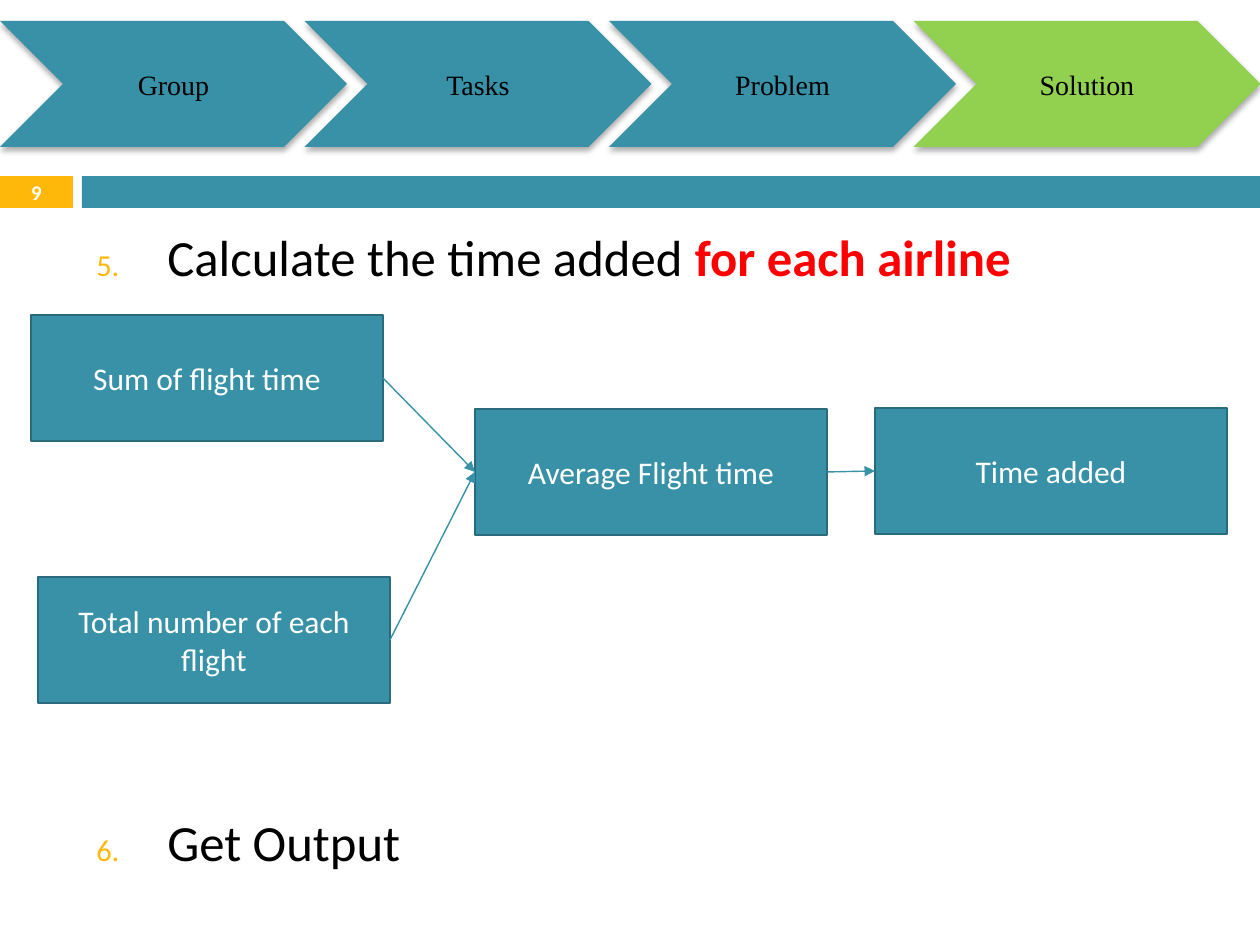
from dataclasses import dataclass

from lxml.etree import SubElement
from pptx import Presentation
from pptx.dml.color import RGBColor
from pptx.enum.shapes import MSO_CONNECTOR as Connector, MSO_SHAPE as Shape
from pptx.enum.text import MSO_ANCHOR as Anchor, PP_ALIGN as Align
from pptx.oxml.ns import qn
from pptx.util import Emu, Pt

COLORS = {
    "teal": "3891A7",
    "dark_teal": "296B7C",
    "green": "92D050",
    "gold": "FEB80A",
    "red": "FF0000",
    "black": "000000",
    "white": "FFFFFF",
}
BODY_FONT = "Calibri"
TAB_FONT = "Times New Roman"
PX_PER_INCH = 126
RIGHT, LEFT = 3, 1


@dataclass
class Tab:
    label: str
    fill: str = "teal"


@dataclass
class Step:
    label: str
    left: int
    top: int


@dataclass
class Span:
    text: str
    color: str = "black"
    bold: bool = False


@dataclass
class Item:
    spans: list[Span]
    space_before: int


TABS = [Tab("Group"), Tab("Tasks"), Tab("Problem"), Tab("Solution", "green")]
TAB_WIDTH, TAB_HEIGHT, TAB_TOP, TAB_PITCH = 347, 126, 21, 304.5

STEPS = {
    "sum": Step("Sum of flight time", 31, 315),
    "total": Step("Total number of each flight", 38, 577),
    "average": Step("Average Flight time", 475, 409),
    "added": Step("Time added", 875, 408),
}
STEP_WIDTH, STEP_HEIGHT = 352, 126
LINKS = [("sum", "average"), ("total", "average"), ("average", "added")]

ITEMS = [
    Item([Span("Calculate the time added "), Span("for each airline", "red", True)], 7),
    Item([Span("Get Output")], 299),
]


def px(length: float) -> Emu:
    return Emu(round(length * 914400 / PX_PER_INCH))


def rgb(name: str) -> RGBColor:
    return RGBColor.from_string(COLORS[name])


def style_run(run, size: float, color: str, font: str = BODY_FONT, bold: bool = False) -> None:
    run.font.size = Pt(size)
    run.font.name = font
    run.font.bold = bold
    run.font.color.rgb = rgb(color)


def add_block(page, kind, left, top, width, height, fill: str):
    block = page.shapes.add_shape(kind, px(left), px(top), px(width), px(height))
    block.shadow.inherit = False
    block.fill.solid()
    block.fill.fore_color.rgb = rgb(fill)
    block.line.fill.background()
    return block


def set_label(box, label: str, size: float, color: str, font: str = BODY_FONT, bold: bool = False) -> None:
    frame = box.text_frame
    frame.text = label
    frame.word_wrap = True
    frame.vertical_anchor = Anchor.MIDDLE
    para = frame.paragraphs[0]
    para.alignment = Align.CENTER
    style_run(para.runs[0], size, color, font, bold)


def add_soft_shadow(block) -> None:
    effects = block._element.spPr.find(qn("a:effectLst"))
    shadow = SubElement(effects, qn("a:outerShdw"), blurRad=str(Pt(3.5)), dist=str(Pt(2.2)),
                        dir="5400000", rotWithShape="0")
    color = SubElement(shadow, qn("a:srgbClr"), val=COLORS["black"])
    SubElement(color, qn("a:alpha"), val="32000")


def add_tab(page, index: int, tab: Tab) -> None:
    chevron = add_block(page, Shape.CHEVRON, index * TAB_PITCH, TAB_TOP, TAB_WIDTH, TAB_HEIGHT, tab.fill)
    add_soft_shadow(chevron)
    set_label(chevron, tab.label, 16, "black", TAB_FONT)


def add_step(page, step: Step):
    box = add_block(page, Shape.RECTANGLE, step.left, step.top, STEP_WIDTH, STEP_HEIGHT, "teal")
    box.line.color.rgb = rgb("dark_teal")
    box.line.width = Pt(1.5)
    set_label(box, step.label, 18, "white")
    return box


def add_arrow(page, source, target) -> None:
    arrow = page.shapes.add_connector(Connector.STRAIGHT, 0, 0, 0, 0)
    arrow.begin_connect(source, RIGHT)
    arrow.end_connect(target, LEFT)
    arrow.line.color.rgb = rgb("teal")
    arrow.line.width = Pt(0.79)
    SubElement(arrow.line._get_or_add_ln(), qn("a:tailEnd"), type="triangle")
    SubElement(arrow._element.spPr, qn("a:effectLst"))


def number_item(para, start: int) -> None:
    indent = px(71)
    properties = para._p.get_or_add_pPr()
    properties.set("marL", str(indent))
    properties.set("indent", str(-indent))
    color = SubElement(properties, qn("a:buClr"))
    SubElement(color, qn("a:srgbClr"), val=COLORS["gold"])
    SubElement(properties, qn("a:buSzPct"), val="60000")
    SubElement(properties, qn("a:buFont"), typeface=BODY_FONT)
    SubElement(properties, qn("a:buAutoNum"), type="arabicPeriod", startAt=str(start))


def add_list(page, items: list[Item], start: int) -> None:
    box = page.shapes.add_textbox(px(84), px(220), px(1124), px(703))
    frame = box.text_frame
    frame.word_wrap = True
    for index, item in enumerate(items):
        para = frame.add_paragraph() if index else frame.paragraphs[0]
        para.space_before = Pt(item.space_before)
        number_item(para, start)
        for span in item.spans:
            run = para.add_run()
            run.text = span.text
            style_run(run, 29, span.color, bold=span.bold)


def main() -> None:
    deck = Presentation()
    deck.slide_width, deck.slide_height = px(1260), px(945)
    page = deck.slides.add_slide(deck.slide_layouts[6])

    number_box = add_block(page, Shape.RECTANGLE, 0, 176, 73, 32, "gold")
    set_label(number_box, "9", 11.9, "white", bold=True)
    add_block(page, Shape.RECTANGLE, 82, 176, 1178, 32, "teal")

    add_list(page, ITEMS, 5)
    for index, tab in enumerate(TABS):
        add_tab(page, index, tab)

    boxes = {name: add_step(page, step) for name, step in STEPS.items()}
    for source, target in LINKS:
        add_arrow(page, boxes[source], boxes[target])

    deck.save("out.pptx")


if __name__ == "__main__":
    main()
